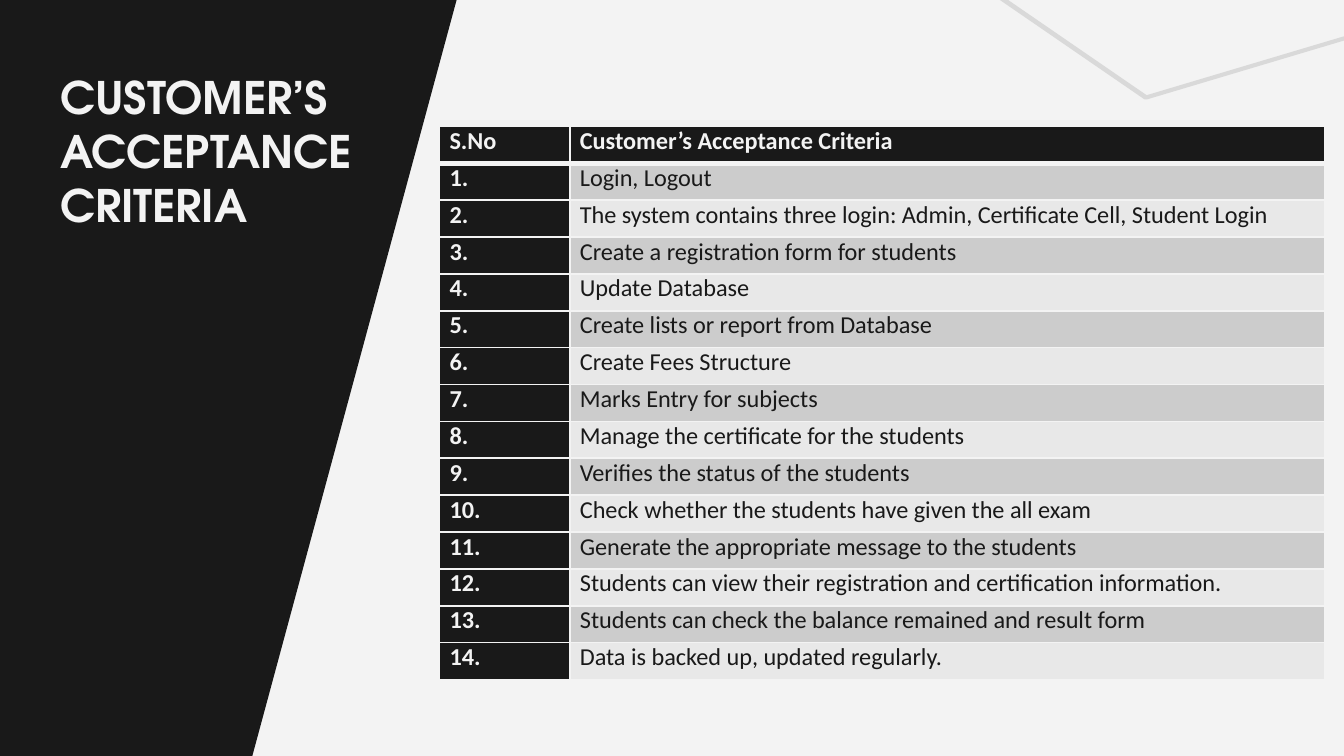
from lxml import etree
from pptx import Presentation
from pptx import util as u
from pptx.dml.color import RGBColor
from pptx.enum import shapes, text
from pptx.oxml import ns

DARK = RGBColor(0x19, 0x19, 0x19)
PALE = RGBColor(0xF3, 0xF3, 0xF3)
LINE_GREY = RGBColor(0xD9, 0xD9, 0xD9)
BANDS = (RGBColor(0xCC, 0xCC, 0xCC), RGBColor(0xE8, 0xE8, 0xE8))

HEADER = ("S.No", "Customer’s Acceptance Criteria")
CRITERIA = (
    "Login, Logout",
    "The system contains three login: Admin, Certificate Cell, Student Login",
    "Create a registration form for students",
    "Update Database",
    "Create lists or report from Database",
    "Create Fees Structure",
    "Marks Entry for subjects",
    "Manage the certificate for the students",
    "Verifies the status of the students",
    "Check whether the students have given the all exam",
    "Generate the appropriate message to the students",
    "Students can view their registration and certification information.",
    "Students can check the balance remained and result form",
    "Data is backed up, updated regularly.",
)


class SlideBuilder:
    title_font = "TeX Gyre Adventor"
    table_font = "Calibri"

    def __init__(self, page):
        self.page = page
        page.background.fill.solid()
        page.background.fill.fore_color.rgb = PALE

    def paint(self, shape, color, line_width=None):
        shape.shadow.inherit = False
        shape.fill.solid()
        shape.fill.fore_color.rgb = color
        if line_width is None:
            shape.line.fill.background()
        else:
            shape.line.color.rgb = color
            shape.line.width = u.Pt(line_width)

    def polygon(self, points, color, line_width=None):
        corners = [(u.Inches(x), u.Inches(y)) for x, y in points]
        builder = self.page.shapes.build_freeform(*corners[0])
        builder.add_line_segments(corners[1:], close=True)
        self.paint(builder.convert_to_shape(), color, line_width)

    def rectangle(self, left, top, width, height, color):
        shape = self.page.shapes.add_shape(
            shapes.MSO_SHAPE.RECTANGLE, u.Inches(left), u.Inches(top),
            u.Inches(width), u.Inches(height))
        self.paint(shape, color)

    def style(self, para, font, size, color, bold):
        para.font.name = font
        para.font.size = u.Pt(size)
        para.font.color.rgb = color
        para.font.bold = bold

    def title(self, left, top, width, height, words):
        box = self.page.shapes.add_textbox(
            u.Inches(left), u.Inches(top), u.Inches(width), u.Inches(height))
        frame = box.text_frame
        frame.word_wrap = True
        frame.vertical_anchor = text.MSO_ANCHOR.TOP
        frame.margin_left = frame.margin_right = u.Inches(0.1)
        frame.margin_top = frame.margin_bottom = u.Inches(0.1)
        frame.text = words
        self.style(frame.paragraphs[0], self.title_font, 24, PALE, True)

    def borders(self, cell, widths):
        properties = cell._tc.get_or_add_tcPr()
        for side, width in widths.items():
            line = etree.SubElement(properties, ns.qn(f"a:ln{side}"), w=str(u.Pt(width)))
            fill = etree.SubElement(line, ns.qn("a:solidFill"))
            etree.SubElement(fill, ns.qn("a:srgbClr"), val=str(PALE))

    def cell(self, cell, words, fill, color, bold, widths):
        self.borders(cell, widths)
        cell.fill.solid()
        cell.fill.fore_color.rgb = fill
        cell.margin_left = cell.margin_right = u.Pt(5.4)
        cell.margin_top = cell.margin_bottom = 0
        cell.text = words
        self.style(cell.text_frame.paragraphs[0], self.table_font, 13, color, bold)

    def table(self, left, top, column_widths, height, header, entries):
        rows = [header] + [(f"{i}.", entry) for i, entry in enumerate(entries, 1)]
        table = self.page.shapes.add_table(
            len(rows), len(header), u.Inches(left), u.Inches(top),
            u.Inches(sum(column_widths)), u.Inches(height)).table
        table.first_row = table.horz_banding = False
        for column, width in zip(table.columns, column_widths):
            column.width = u.Inches(width)
        for r, row in enumerate(rows):
            table.rows[r].height = u.Inches(height / len(rows))
            # The rule under the header is heavier than the others
            widths = {"L": 1, "R": 1, "T": 3 if r == 1 else 1, "B": 3 if r == 0 else 1}
            for c, words in enumerate(row):
                heading = r == 0 or c == 0
                fill = DARK if heading else BANDS[(r - 1) % 2]
                color = PALE if heading else DARK
                self.cell(table.cell(r, c), words, fill, color, heading, widths)


def main():
    deck = Presentation()
    # Widescreen, 16 to 9
    deck.slide_width = u.Inches(10)
    deck.slide_height = u.Inches(10 * 9 / 16)
    slide = SlideBuilder(deck.slides.add_slide(deck.slide_layouts[6]))

    # Angled line in the top right corner
    slide.polygon([(5.46, -1.39), (8.53, 0.72), (10.54, 0.12), (10.54, 0.13),
                   (8.53, 0.73), (8.52, 0.73), (5.45, -1.38)], LINE_GREY, 1.5)

    # Dark slanted panel
    slide.polygon([(0.33, -0.01), (3.4, -0.01), (1.86, 5.69), (0.29, 5.69)], DARK)
    slide.rectangle(0, -0.01, 0.61, 5.65, DARK)

    # Title and criteria table
    slide.title(0.35, 0.42, 2.74, 1.53, "CUSTOMER’S ACCEPTANCE CRITERIA")
    slide.table(3.27, 0.94, (0.97, 5.62), 4.12, HEADER, CRITERIA)

    deck.save("out.pptx")


if __name__ == "__main__":
    main()
